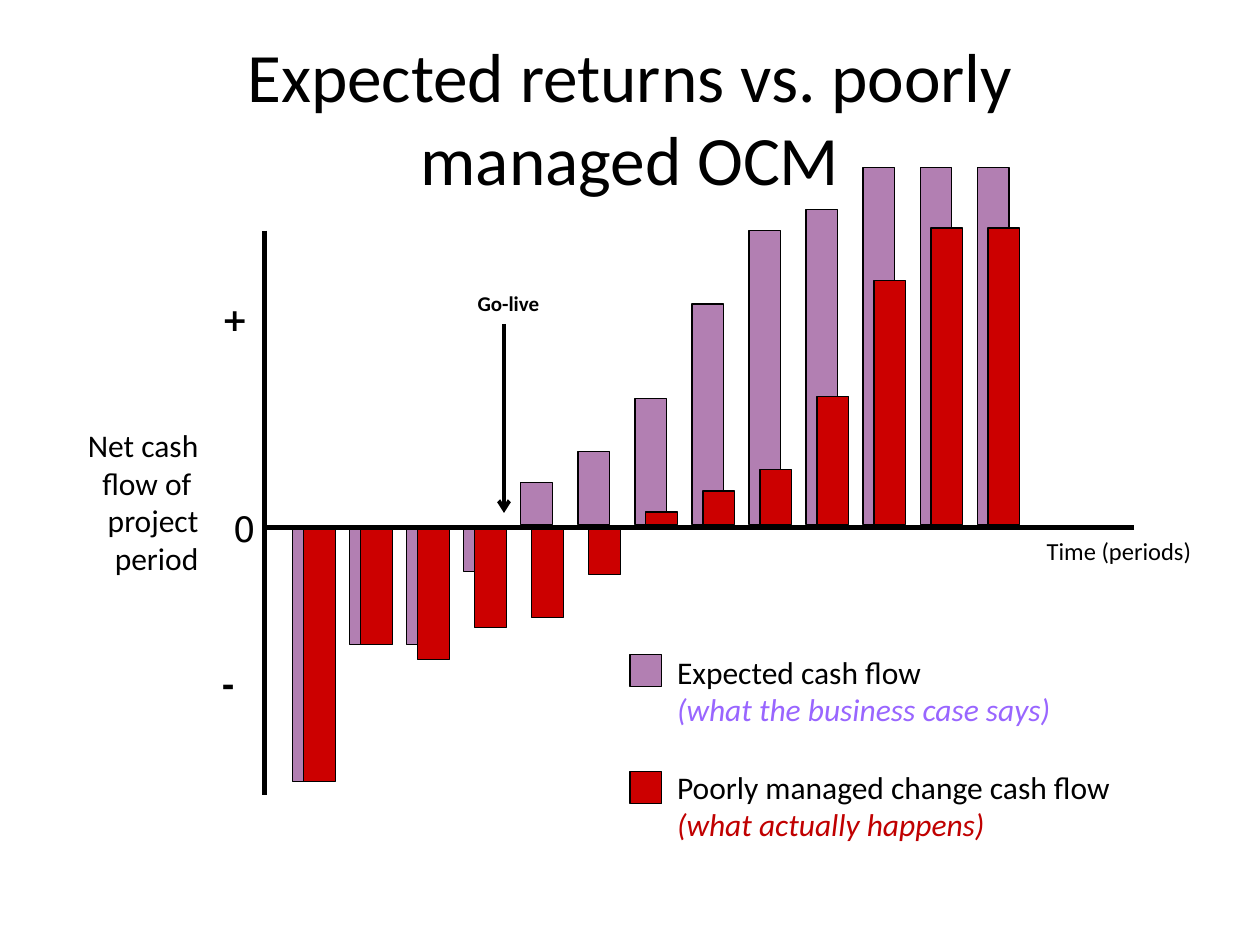
from lxml.etree import SubElement
from pptx import Presentation
from pptx.dml.color import RGBColor
from pptx.enum.shapes import MSO_CONNECTOR, MSO_SHAPE
from pptx.enum.text import MSO_ANCHOR, PP_ALIGN as Align
from pptx.oxml.ns import qn
from pptx.util import Cm, Pt

BLACK = RGBColor(0x00, 0x00, 0x00)
PURPLE = RGBColor(0x66, 0x00, 0x66)
RED = RGBColor(0xCC, 0x00, 0x00)
LILAC = RGBColor(0x99, 0x66, 0xFF)
DARK_RED = RGBColor(0xC0, 0x00, 0x00)

EXPECTED = [-5.08, -2.33, -2.33, -0.85, 0.85, 1.48, 2.54,
            4.45, 5.93, 6.35, 7.2, 7.2, 7.2]
ACTUAL = [-5.08, -2.33, -2.62, -1.98, -1.78, -0.92, 0.26,
          0.68, 1.11, 2.59, 4.92, 5.98, 5.98]
BAR_WIDTH = 0.64
PERIOD_STEP = 1.15
GAIN_BASE = 10.58
LOSS_BASE = 10.67


def add_block(slide, left, top, width, height, color, opacity=100):
    block = slide.shapes.add_shape(
        MSO_SHAPE.RECTANGLE, Cm(left), Cm(top), Cm(width), Cm(height))
    block.shadow.inherit = False
    block.fill.solid()
    block.fill.fore_color.rgb = color
    block.line.color.rgb = BLACK
    block.line.width = Pt(0.75)
    if opacity < 100:
        tint = block.fill._xPr.find(qn("a:solidFill"))[0]
        SubElement(tint, qn("a:alpha"), val=str(opacity * 1000))


def add_bars(slide, flows, first_left, color, opacity=100):
    for period, flow in enumerate(flows):
        top = GAIN_BASE - flow if flow > 0 else LOSS_BASE
        add_block(slide, first_left + period * PERIOD_STEP, top,
                  BAR_WIDTH, abs(flow), color, opacity)


def add_line(slide, x1, y1, x2, y2, width, arrow=False):
    line = slide.shapes.add_connector(
        MSO_CONNECTOR.STRAIGHT, Cm(x1), Cm(y1), Cm(x2), Cm(y2))
    line.line.color.rgb = BLACK
    line.line.width = Pt(width)
    if arrow:
        SubElement(line.line._get_or_add_ln(), qn("a:tailEnd"), type="arrow")
    SubElement(line._element.spPr, qn("a:effectLst"))


def add_text(slide, text, left, top, width, height, size, font="Calibri",
             bold=False, align=Align.LEFT, wrap=True, anchor=MSO_ANCHOR.TOP):
    box = slide.shapes.add_textbox(Cm(left), Cm(top), Cm(width), Cm(height))
    frame = box.text_frame
    frame.word_wrap = wrap
    frame.vertical_anchor = anchor
    paragraph = frame.paragraphs[0]
    paragraph.text = text
    paragraph.alignment = align
    for run in paragraph.runs:
        run.font.name = font
        run.font.size = Pt(size)
        run.font.bold = bold
        run.font.color.rgb = BLACK
    return paragraph


def add_legend_entry(slide, label, remark, swatch_top, text_top, color,
                     remark_color, opacity=100):
    add_block(slide, 12.7, swatch_top, BAR_WIDTH, BAR_WIDTH, color, opacity)
    entry = add_text(slide, f"{label}\n{remark}", 13.4, text_top, 10, 1.8, 18)
    remark_run = entry.runs[-1]
    remark_run.font.italic = True
    remark_run.font.color.rgb = remark_color


def add_axes(slide):
    add_line(slide, 5.33, 4.65, 5.33, 16.03, 3)
    add_line(slide, 22.86, 10.64, 5.28, 10.64, 3)
    add_text(slide, "Time (periods)", 20.85, 10.69, 3.48, 1.45, 14)
    add_text(slide, "Net cash flow of \nproject period", 1.07, 8.46,
             3.18, 3.33, 18, align=Align.RIGHT)
    for mark, left, top, size, bold in [("0", 4.45, 10.11, 20, False),
                                        ("+", 4.22, 5.92, 18, True),
                                        ("-", 4.22, 13.28, 18, True)]:
        add_text(slide, mark, left, top, 0.86, 1.1, size, "DejaVu Sans",
                 bold, wrap=False)


def main():
    prs = Presentation()
    prs.slide_width, prs.slide_height = Cm(25.4), Cm(19.05)
    slide = prs.slides.add_slide(prs.slide_layouts[6])

    add_bars(slide, EXPECTED, 5.9, PURPLE, 50)
    add_axes(slide)
    add_bars(slide, ACTUAL, 6.12, RED)
    add_legend_entry(slide, "Expected cash flow",
                     "(what the business case says)",
                     13.2, 13.03, PURPLE, LILAC, 50)
    add_legend_entry(slide, "Poorly managed change cash flow",
                     "(what actually happens)",
                     15.56, 15.35, RED, DARK_RED)
    add_line(slide, 10.16, 6.53, 10.16, 10.34, 2.25, arrow=True)
    add_text(slide, "Go-live", 9.27, 5.74, 1.96, 0.76, 12, bold=True,
             align=Align.CENTER, wrap=False)
    add_text(slide, "Expected returns vs. poorly\nmanaged OCM",
             1.27, 0.76, 22.86, 3.18, 39.6,
             align=Align.CENTER, anchor=MSO_ANCHOR.MIDDLE)
    prs.save("out.pptx")


if __name__ == "__main__":
    main()
